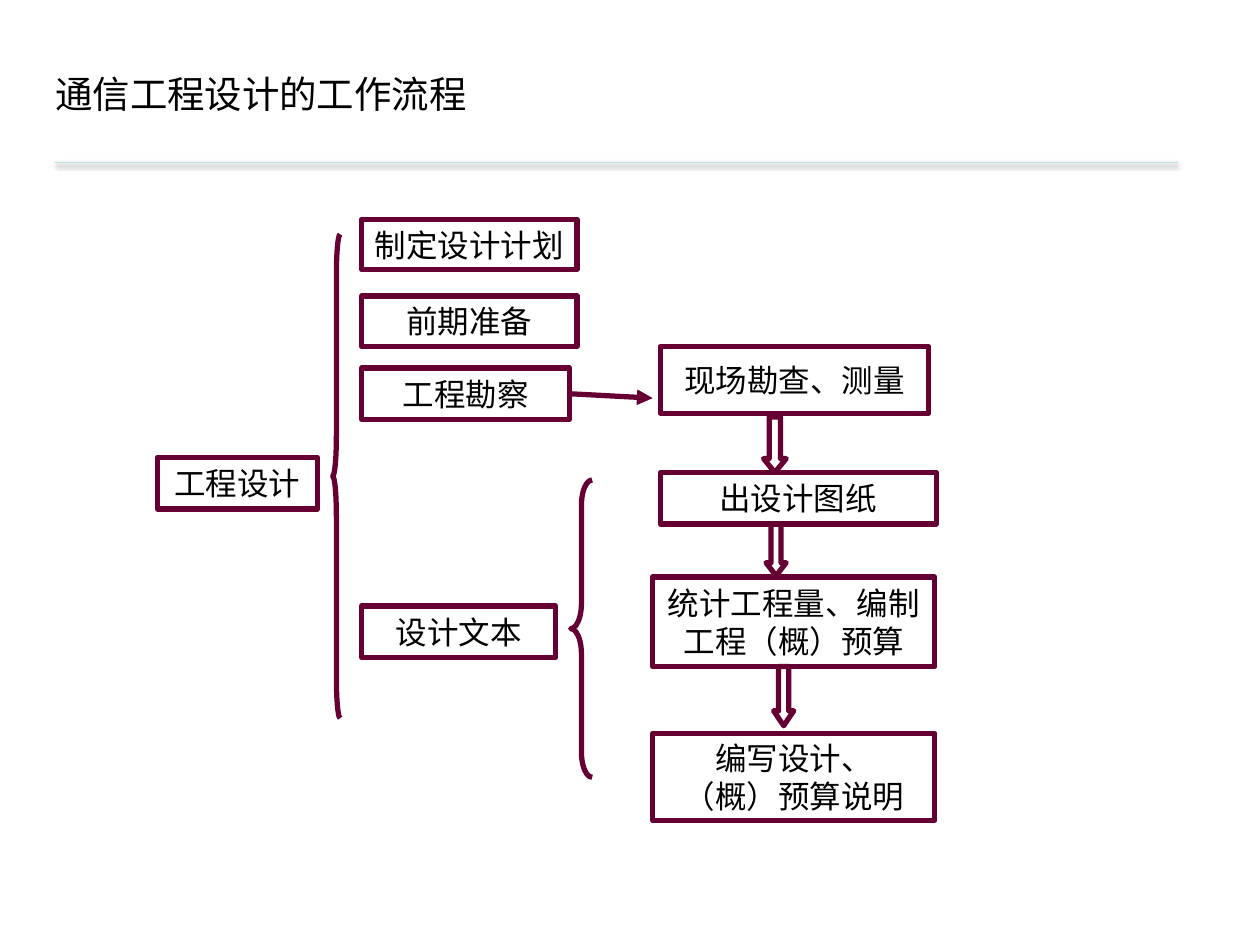
from dataclasses import dataclass

from lxml import etree
from pptx import Presentation
from pptx.dml.color import RGBColor
from pptx.enum.shapes import MSO_CONNECTOR, MSO_SHAPE
from pptx.enum.text import MSO_ANCHOR, PP_ALIGN
from pptx.oxml.ns import qn
from pptx.util import Inches, Pt

RECTANGLE = MSO_SHAPE.RECTANGLE
DOWN_ARROW = MSO_SHAPE.DOWN_ARROW
LEFT_BRACE = MSO_SHAPE.LEFT_BRACE
STRAIGHT = MSO_CONNECTOR.STRAIGHT
CENTER = PP_ALIGN.CENTER
MIDDLE = MSO_ANCHOR.MIDDLE
RIGHT_SIDE = 3

PLUM = RGBColor(0x66, 0x00, 0x33)
PALE_TEAL = RGBColor(0xBB, 0xE0, 0xE3)
BLACK = RGBColor(0x00, 0x00, 0x00)


@dataclass
class Step:
    text: str
    left: float
    top: float
    width: float
    height: float


@dataclass
class Outline:
    kind: MSO_SHAPE
    left: float
    top: float
    width: float
    height: float
    adjustments: tuple[float, float]


SURVEY = "工程勘察"
STEPS = [
    Step("工程设计", 1.25, 3.63, 1.27, 0.41),
    # Stages
    Step("制定设计计划", 2.87, 1.74, 1.71, 0.4),
    Step("前期准备", 2.87, 2.35, 1.71, 0.4),
    Step(SURVEY, 2.87, 2.92, 1.65, 0.41),
    Step("设计文本", 2.87, 4.81, 1.54, 0.41),
    # Detailed work
    Step("现场勘查、测量", 5.24, 2.75, 2.13, 0.53),
    Step("出设计图纸", 5.24, 3.75, 2.19, 0.41),
    Step("统计工程量、编制工程（概）预算", 5.18, 4.58, 2.24, 0.71),
    Step("编写设计、\n（概）预算说明", 5.18, 5.82, 2.24, 0.69),
]
OUTLINES = [
    Outline(LEFT_BRACE, 2.64, 1.86, 0.06, 3.84, (5.33, 0.5)),
    Outline(LEFT_BRACE, 4.53, 3.81, 0.17, 2.36, (1.18, 0.5)),
    Outline(DOWN_ARROW, 6.06, 3.31, 0.18, 0.44, (0.5, 0.61)),
    Outline(DOWN_ARROW, 6.08, 4.16, 0.16, 0.41, (0.5, 0.65)),
    Outline(DOWN_ARROW, 6.14, 5.29, 0.16, 0.47, (0.5, 0.74)),
]


def add_outlined_shape(slide, kind, left, top, width, height):
    shape = slide.shapes.add_shape(
        kind, Inches(left), Inches(top), Inches(width), Inches(height))
    shape.shadow.inherit = False
    shape.fill.background()
    shape.line.color.rgb = PLUM
    shape.line.width = Pt(3)
    return shape


def add_step(slide, step: Step):
    shape = add_outlined_shape(
        slide, RECTANGLE, step.left, step.top, step.width, step.height)
    frame = shape.text_frame
    frame.word_wrap = True
    frame.vertical_anchor = MIDDLE
    frame.margin_left = frame.margin_right = Inches(0.06)
    frame.margin_top = frame.margin_bottom = Inches(0.03)
    frame.text = step.text
    for paragraph in frame.paragraphs:
        paragraph.alignment = CENTER
        paragraph.font.size = Pt(18)
        paragraph.font.name = "Times New Roman"
        paragraph.font.color.rgb = BLACK
    return shape


def add_outline(slide, outline: Outline) -> None:
    shape = add_outlined_shape(
        slide, outline.kind, outline.left, outline.top,
        outline.width, outline.height)
    for index, value in enumerate(outline.adjustments):
        shape.adjustments[index] = value


def add_line(slide, start: tuple[float, float], end: tuple[float, float],
             color: RGBColor, width: float):
    """Return the connector and its empty effect list."""
    connector = slide.shapes.add_connector(
        STRAIGHT, *(Inches(value) for value in start + end))
    connector.line.color.rgb = color
    connector.line.width = Pt(width)
    effects = etree.SubElement(connector._element.spPr, qn("a:effectLst"))
    return connector, effects


def add_title(slide, text: str) -> None:
    box = slide.shapes.add_textbox(
        Inches(0.28), Inches(0.44), Inches(6.6), Inches(1.04))
    frame = box.text_frame
    frame.word_wrap = True
    frame.margin_left = Inches(0.16)
    frame.text = text
    paragraph = frame.paragraphs[0]
    paragraph.line_spacing = 1.2
    paragraph.font.size = Pt(21.4)
    paragraph.font.name = "Noto Sans CJK SC"
    paragraph.font.color.rgb = BLACK


def add_title_rule(slide) -> None:
    _, effects = add_line(slide, (0.44, 1.29), (9.35, 1.29), PALE_TEAL, 0.25)
    shadow = etree.SubElement(
        effects, qn("a:outerShdw"), blurRad=str(Pt(3.1)), dist=str(Pt(1.6)),
        dir="5400000", rotWithShape="0")
    color = etree.SubElement(shadow, qn("a:srgbClr"), val=str(BLACK))
    etree.SubElement(color, qn("a:alpha"), val="38000")


def main() -> None:
    presentation = Presentation()
    presentation.slide_width = Inches(10)
    presentation.slide_height = Inches(7.5)
    slide = presentation.slides.add_slide(presentation.slide_layouts[6])

    # Heading
    add_title(slide, "通信工程设计的工作流程")
    add_title_rule(slide)

    # Steps, braces and block arrows
    boxes = {step.text: add_step(slide, step) for step in STEPS}
    for outline in OUTLINES:
        add_outline(slide, outline)

    # Arrow from the survey to the site work
    arrow, _ = add_line(slide, (4.52, 3.13), (5.18, 3.16), PLUM, 3)
    arrow.begin_connect(boxes[SURVEY], RIGHT_SIDE)
    etree.SubElement(arrow.line._get_or_add_ln(), qn("a:tailEnd"),
                     type="triangle")

    presentation.save("out.pptx")


if __name__ == "__main__":
    main()
